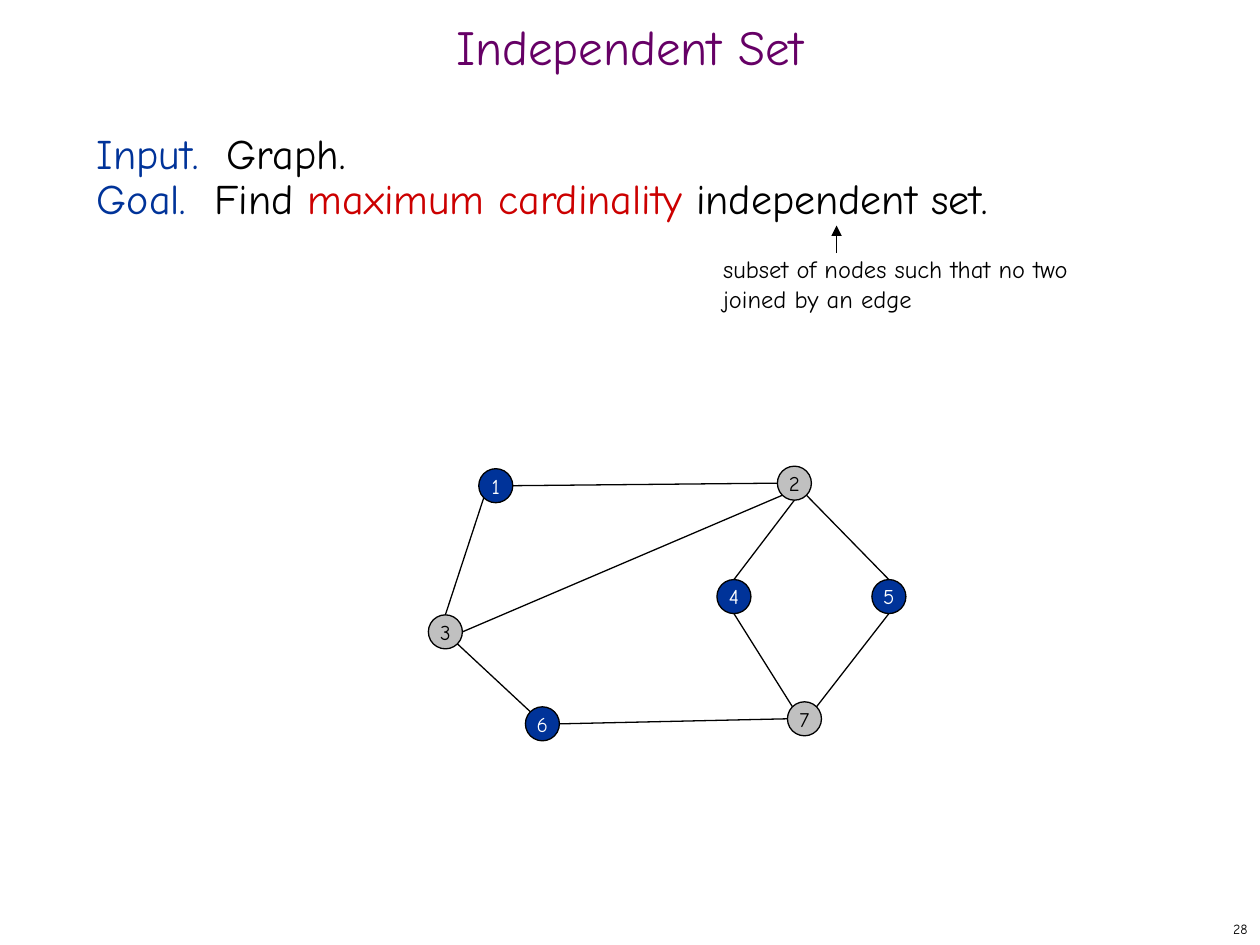
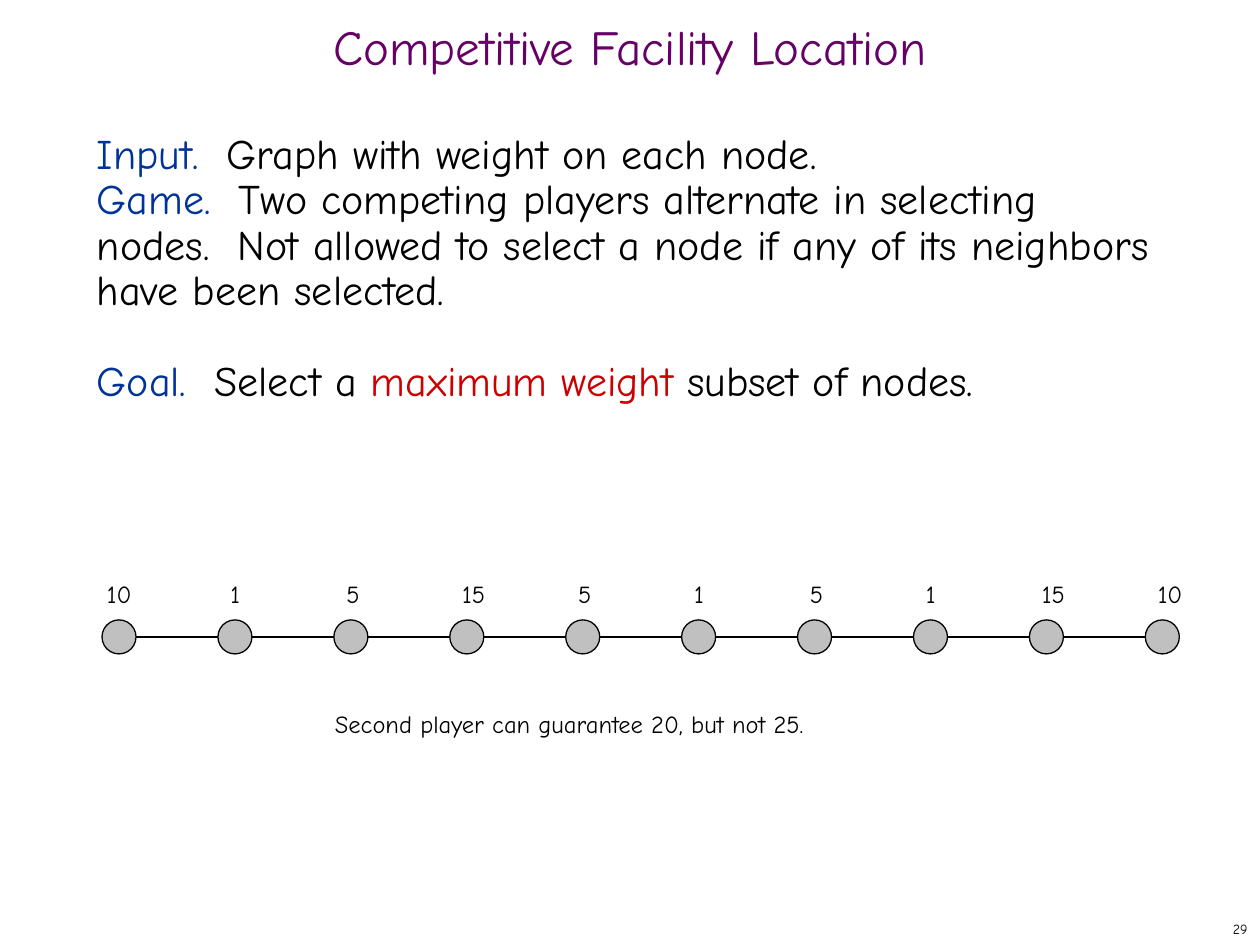
import math
from dataclasses import dataclass
from enum import Enum

import pptx
import pptx.dml.color
import pptx.enum.shapes
import pptx.enum.text
import pptx.oxml.ns
import pptx.presentation
import pptx.shapes.autoshape
import pptx.slide
import pptx.text.text
import pptx.util
from lxml import etree

Inches = pptx.util.Inches
Align = pptx.enum.text.PP_ALIGN
Anchor = pptx.enum.text.MSO_ANCHOR


@dataclass(frozen=True)
class Theme:
    font: str = "Comic Neue"
    title: str = "660066"
    keyword: str = "003399"
    emphasis: str = "CC0000"
    ink: str = "000000"
    plain_node: str = "C0C0C0"
    chosen_node: str = "003399"
    chosen_label: str = "FFFFFF"
    title_size: float = 28
    body_size: float = 24
    body_leading: float = 26
    note_size: float = 14
    node_size: float = 12
    number_size: float = 8
    line_width: float = 0.75


THEME = Theme()
NODE_DIAMETER = 0.27


class Side(Enum):
    E = 0
    SE = 45
    S = 90
    SW = 135
    W = 180
    NW = 225
    N = 270
    NE = 315


@dataclass(frozen=True)
class Span:
    text: str
    color: str = THEME.ink


@dataclass(frozen=True)
class Statement:
    spans: tuple[Span, ...]
    space_before: float = 0


@dataclass(frozen=True)
class Node:
    left: float
    top: float
    label: str = ""
    chosen: bool = False

    def point(self, side: Side) -> tuple[float, float]:
        radius = NODE_DIAMETER / 2
        angle = math.radians(side.value)
        return (self.left + radius * (1 + math.cos(angle)),
                self.top + radius * (1 + math.sin(angle)))


@dataclass(frozen=True)
class Edge:
    start: str
    start_side: Side
    end: str
    end_side: Side


def rgb(color: str) -> pptx.dml.color.RGBColor:
    return pptx.dml.color.RGBColor.from_string(color)


def add_span(para: pptx.text.text._Paragraph, text: str, *, size: float,
             color: str = THEME.ink) -> None:
    span = para.add_run()
    span.text = text
    span.font.name = THEME.font
    span.font.size = pptx.util.Pt(size)
    span.font.color.rgb = rgb(color)


def add_box(page: pptx.slide.Slide, left: float, top: float, width: float,
            height: float, *, anchor: Anchor = Anchor.TOP,
            inset: bool = True) -> pptx.text.text.TextFrame:
    frame = page.shapes.add_textbox(
        Inches(left), Inches(top), Inches(width), Inches(height)).text_frame
    frame.word_wrap = True
    frame.vertical_anchor = anchor
    if not inset:
        frame.margin_left = frame.margin_right = 0
        frame.margin_top = frame.margin_bottom = 0
    return frame


def add_text(frame: pptx.text.text.TextFrame, text: str, *, size: float,
             color: str = THEME.ink, align: Align = Align.LEFT,
             line_spacing: float | None = None) -> None:
    para = frame.paragraphs[0]
    para.alignment = align
    para.line_spacing = line_spacing
    for index, line in enumerate(text.split("\n")):
        if index:
            para.add_line_break()
        add_span(para, line, size=size, color=color)


def add_page(deck: pptx.presentation.Presentation, title: str, number: int,
             statements: list[Statement]) -> pptx.slide.Slide:
    page = deck.slides.add_slide(deck.slide_layouts[6])
    add_text(add_box(page, 7.92, 7.25, 2.08, 0.25, anchor=Anchor.MIDDLE),
             str(number), size=THEME.number_size, align=Align.RIGHT)
    add_text(add_box(page, 0, 0.17, 10, 0.5, anchor=Anchor.MIDDLE), title,
             size=THEME.title_size, color=THEME.title, align=Align.CENTER,
             line_spacing=0.7)
    body = add_box(page, 0.67, 1, 8.58, 5.92)
    for index, statement in enumerate(statements):
        para = body.add_paragraph() if index else body.paragraphs[0]
        para.line_spacing = pptx.util.Pt(THEME.body_leading)
        if statement.space_before:
            para.space_before = pptx.util.Pt(statement.space_before)
        for span in statement.spans:
            add_span(para, span.text, size=THEME.body_size, color=span.color)
    return page


def add_line(page: pptx.slide.Slide, start: tuple[float, float],
             end: tuple[float, float], *, arrow: bool = False) -> None:
    line = page.shapes.add_connector(
        pptx.enum.shapes.MSO_CONNECTOR.STRAIGHT,
        *(Inches(value) for value in start + end))
    line.line.color.rgb = rgb(THEME.ink)
    line.line.width = pptx.util.Pt(THEME.line_width)
    qualify = pptx.oxml.ns.qn
    if arrow:
        etree.SubElement(line.line._get_or_add_ln(), qualify("a:tailEnd"),
                         type="triangle")
    etree.SubElement(line._element.spPr, qualify("a:effectLst"))


def add_node(page: pptx.slide.Slide, node: Node) -> None:
    circle = page.shapes.add_shape(
        pptx.enum.shapes.MSO_SHAPE.OVAL, Inches(node.left), Inches(node.top),
        Inches(NODE_DIAMETER), Inches(NODE_DIAMETER))
    circle.shadow.inherit = False
    circle.fill.solid()
    circle.fill.fore_color.rgb = rgb(
        THEME.chosen_node if node.chosen else THEME.plain_node)
    circle.line.color.rgb = rgb(THEME.ink)
    circle.line.width = pptx.util.Pt(THEME.line_width)
    if node.label:
        frame = circle.text_frame
        frame.word_wrap = False
        frame.vertical_anchor = Anchor.MIDDLE
        add_text(frame, node.label, size=THEME.node_size, align=Align.CENTER,
                 color=THEME.chosen_label if node.chosen else THEME.ink)


def build_independent_set(deck: pptx.presentation.Presentation) -> None:
    page = add_page(deck, "Independent Set", 28, [
        Statement((Span("Input.  ", THEME.keyword), Span("Graph."))),
        Statement((Span("Goal.  ", THEME.keyword), Span("Find "),
                   Span("maximum cardinality", THEME.emphasis),
                   Span(" independent set."))),
    ])
    nodes = {node.label: node for node in (
        Node(3.8, 3.72, "1", True),
        Node(6.17, 3.7, "2"),
        Node(3.4, 4.88, "3"),
        Node(5.69, 4.6, "4", True),
        Node(6.92, 4.6, "5", True),
        Node(4.17, 5.61, "6", True),
        Node(6.25, 5.57, "7"),
    )}
    edges = (
        Edge("1", Side.E, "2", Side.W),
        Edge("1", Side.SW, "3", Side.N),
        Edge("3", Side.E, "2", Side.SW),
        Edge("3", Side.SE, "6", Side.NW),
        Edge("4", Side.N, "2", Side.S),
        Edge("2", Side.SE, "5", Side.N),
        Edge("4", Side.S, "7", Side.NW),
        Edge("5", Side.S, "7", Side.NE),
        Edge("6", Side.E, "7", Side.W),
    )
    for edge in edges:
        add_line(page, nodes[edge.start].point(edge.start_side),
                 nodes[edge.end].point(edge.end_side))
    for node in nodes.values():
        add_node(page, node)
    add_text(add_box(page, 5.74, 2.02, 3.2, 0.47, inset=False),
             "subset of nodes such that no two\njoined by an edge",
             size=THEME.note_size)
    add_line(page, (6.64, 2.01), (6.64, 1.79), arrow=True)


def build_facility_location(deck: pptx.presentation.Presentation) -> None:
    page = add_page(deck, "Competitive Facility Location", 29, [
        Statement((Span("Input.  ", THEME.keyword),
                   Span("Graph with weight on each node."))),
        Statement((Span("Game.  ", THEME.keyword),
                   Span("Two competing players alternate in selecting nodes.  "
                        "Not allowed to select a node if any of its neighbors "
                        "have been selected."))),
        Statement((Span("Goal.  ", THEME.keyword), Span("Select a "),
                   Span("maximum weight", THEME.emphasis),
                   Span(" subset of nodes.")),
                  space_before=THEME.body_leading),
    ])
    weights = (10, 1, 5, 15, 5, 1, 5, 1, 15, 10)
    chain = [Node(0.81 + 0.92 * index, 4.92) for index in range(len(weights))]
    for node, following in zip(chain, chain[1:]):
        add_line(page, node.point(Side.E), following.point(Side.W))
    for index, (node, weight) in enumerate(zip(chain, weights)):
        add_node(page, node)
        label_left = node.left if index else node.left - 0.06
        add_text(add_box(page, label_left, 4.55, 0.45, 0.33), str(weight),
                 size=THEME.note_size)
    add_text(add_box(page, 2.56, 5.58, 4.2, 0.33),
             "Second player can guarantee 20, but not 25.",
             size=THEME.note_size)


def main() -> None:
    deck = pptx.Presentation()
    deck.slide_width = Inches(10)
    deck.slide_height = Inches(7.5)
    build_independent_set(deck)
    build_facility_location(deck)
    deck.save("out.pptx")


if __name__ == "__main__":
    main()
